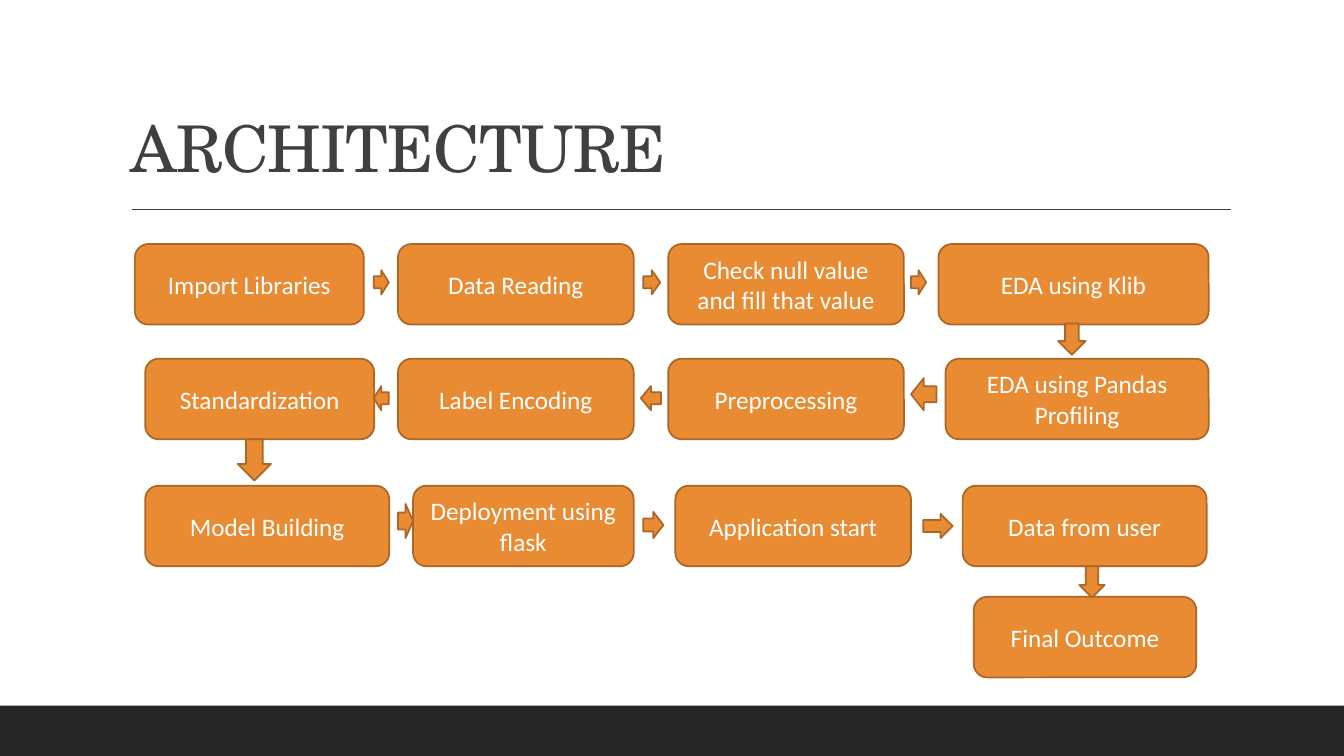
"""Build a slide that shows the architecture of a machine learning project."""
from dataclasses import dataclass

from lxml import etree
from pptx import Presentation
from pptx.dml.color import RGBColor
from pptx.enum.shapes import MSO_CONNECTOR, MSO_SHAPE
from pptx.enum.text import MSO_ANCHOR, PP_ALIGN
from pptx.oxml.ns import qn
from pptx.util import Cm, Pt

STRAIGHT = MSO_CONNECTOR.STRAIGHT
RECTANGLE = MSO_SHAPE.RECTANGLE
ROUNDED = MSO_SHAPE.ROUNDED_RECTANGLE
RIGHT = MSO_SHAPE.RIGHT_ARROW
LEFT = MSO_SHAPE.LEFT_ARROW
DOWN = MSO_SHAPE.DOWN_ARROW
MIDDLE = MSO_ANCHOR.MIDDLE
BOTTOM = MSO_ANCHOR.BOTTOM
CENTER = PP_ALIGN.CENTER
ALIGN_LEFT = PP_ALIGN.LEFT


@dataclass(frozen=True)
class Theme:
    """Colours, fonts and type sizes of the slide."""

    ink: RGBColor = RGBColor(0x40, 0x40, 0x40)
    footer: RGBColor = RGBColor(0x26, 0x26, 0x26)
    accent: RGBColor = RGBColor(0xE8, 0x8B, 0x33)
    outline: RGBColor = RGBColor(0xAC, 0x67, 0x26)
    white: RGBColor = RGBColor(0xFF, 0xFF, 0xFF)
    title_font: str = "TeX Gyre Schola"
    body_font: str = "Calibri"
    title_size: Pt = Pt(46)
    body_size: Pt = Pt(18)
    outline_width: Pt = Pt(1.25)
    rule_width: Pt = Pt(1)


THEME = Theme()
SLIDE_WIDTH, SLIDE_HEIGHT = 33.87, 19.05
FOOTER_TOP = 17.78
STEP_HEIGHT = 2.03

STEP_ROWS = [
    (6.15, [
        ("Import Libraries", 3.4, 5.77),
        ("Data Reading", 10.03, 5.94),
        ("Check null value and fill that value", 16.84, 5.94),
        ("EDA using Klib", 23.65, 6.81),
    ]),
    (9.04, [
        ("EDA using Pandas Profiling", 23.83, 6.63),
        ("Preprocessing", 16.84, 5.94),
        ("Label Encoding", 10.03, 5.94),
        ("Standardization", 3.66, 5.77),
    ]),
    (12.24, [
        ("Model Building", 3.66, 6.15),
        ("Deployment using flask", 10.41, 5.56),
        ("Application start", 17.02, 5.94),
        ("Data from user", 24.26, 6.15),
    ]),
    (15.04, [("Final Outcome", 24.54, 5.61)]),
]

ARROWS = [
    (RIGHT, 9.42, 6.81, 0.38, 0.61),
    (RIGHT, 16.21, 6.81, 0.43, 0.61),
    (RIGHT, 22.96, 6.81, 0.38, 0.61),
    (DOWN, 26.67, 8.15, 0.69, 0.79),
    (LEFT, 22.96, 9.53, 0.64, 0.81),
    (LEFT, 16.15, 9.73, 0.51, 0.61),
    (LEFT, 9.42, 9.73, 0.38, 0.61),
    (DOWN, 5.99, 11.07, 0.84, 1.04),
    (RIGHT, 10.03, 12.7, 0.38, 0.86),
    (RIGHT, 16.21, 12.9, 0.51, 0.66),
    (RIGHT, 23.27, 12.95, 0.74, 0.61),
    (DOWN, 27.2, 14.27, 0.64, 0.79),
]


def set_text(box, text, anchor, align, font, size, color):
    """Write one wrapped paragraph into a shape and return it."""
    frame = box.text_frame
    frame.word_wrap = True
    frame.vertical_anchor = anchor
    para = frame.paragraphs[0]
    para.text = text
    para.alignment = align
    para.font.name = font
    para.font.size = size
    para.font.color.rgb = color
    return para


def add_block(page, kind, left, top, width, height, fill, outline=None):
    """Add a filled preset shape, with an outline if a colour is given."""
    block = page.shapes.add_shape(kind, Cm(left), Cm(top), Cm(width), Cm(height))
    block.shadow.inherit = False
    block.fill.solid()
    block.fill.fore_color.rgb = fill
    if outline is None:
        block.line.fill.background()
    else:
        block.line.color.rgb = outline
        block.line.width = THEME.outline_width
    return block


def add_step(page, text, left, top, width):
    """Add one labelled step of the process."""
    step = add_block(page, ROUNDED, left, top, width, STEP_HEIGHT,
                     THEME.accent, THEME.outline)
    set_text(step, text, MIDDLE, CENTER,
             THEME.body_font, THEME.body_size, THEME.white)


def add_title(page, text):
    """Add the slide title with slightly tightened letters."""
    box = page.shapes.add_textbox(Cm(3.05), Cm(0.79), Cm(27.94), Cm(4.04))
    para = set_text(box, text, BOTTOM, ALIGN_LEFT,
                    THEME.title_font, THEME.title_size, THEME.ink)
    para.line_spacing = 0.9
    para.runs[0]._r.get_or_add_rPr().set("spc", "-50")


def add_rule(page, left, right, top):
    """Add the thin horizontal line under the title."""
    rule = page.shapes.add_connector(
        STRAIGHT, Cm(left), Cm(top), Cm(right), Cm(top))
    rule.line.color.rgb = THEME.ink
    rule.line.width = THEME.rule_width
    etree.SubElement(rule._element.spPr, qn("a:effectLst"))


def main():
    """Build the deck and save it."""
    deck = Presentation()
    deck.slide_width = Cm(SLIDE_WIDTH)
    deck.slide_height = Cm(SLIDE_HEIGHT)
    page = deck.slides.add_slide(deck.slide_layouts[6])
    add_block(page, RECTANGLE, 0, FOOTER_TOP, SLIDE_WIDTH,
              SLIDE_HEIGHT - FOOTER_TOP, THEME.footer)
    add_rule(page, 3.33, 31.01, 5.28)
    add_title(page, "ARCHITECTURE")
    for top, steps in STEP_ROWS:
        for text, left, width in steps:
            add_step(page, text, left, top, width)
    for kind, left, top, width, height in ARROWS:
        add_block(page, kind, left, top, width, height,
                  THEME.accent, THEME.outline)
    deck.save("out.pptx")


if __name__ == "__main__":
    main()
